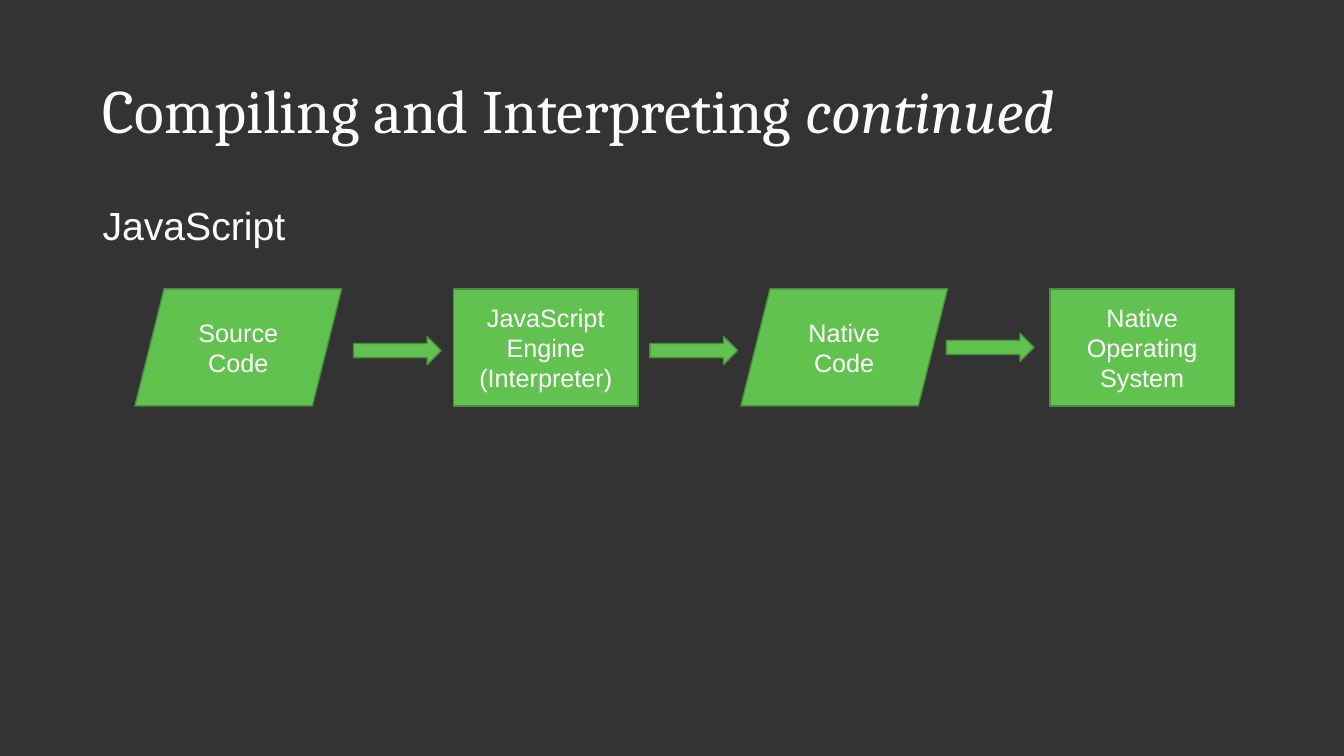
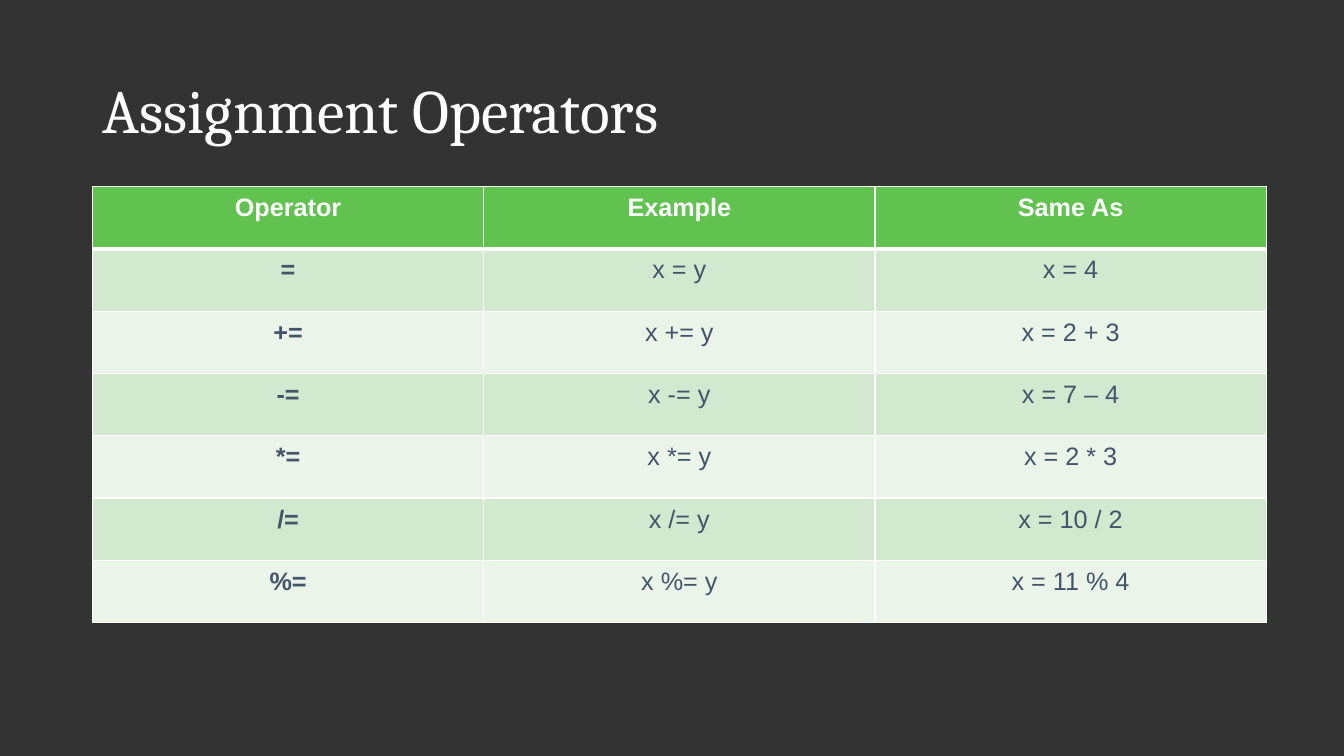
from lxml import etree
from pptx import Presentation
from pptx.dml.color import RGBColor
from pptx.enum.shapes import MSO_SHAPE
from pptx.enum.text import MSO_ANCHOR, PP_ALIGN
from pptx.oxml.ns import qn
from pptx.util import Cm, Pt

LEFT, CENTER = PP_ALIGN.LEFT, PP_ALIGN.CENTER
MIDDLE = MSO_ANCHOR.MIDDLE
DATA, PROCESS = MSO_SHAPE.PARALLELOGRAM, MSO_SHAPE.RECTANGLE
ARROW = MSO_SHAPE.RIGHT_ARROW

CHARCOAL = RGBColor(0x33, 0x33, 0x33)
WHITE = RGBColor(0xFF, 0xFF, 0xFF)
GREEN = RGBColor(0x61, 0xC2, 0x50)
DARK_GREEN = RGBColor(0x48, 0x90, 0x3B)
BAND_DARK = RGBColor(0xD2, 0xE9, 0xD0)
BAND_LIGHT = RGBColor(0xEA, 0xF4, 0xE9)
SLATE = RGBColor(0x44, 0x54, 0x6A)

TITLE_FONT, BODY_FONT = "Cambria", "Arial"
MARGIN, CONTENT_WIDTH = Cm(2.33), Cm(29.21)

deck = Presentation()
deck.slide_width, deck.slide_height = Cm(33.87), Cm(19.05)
backdrop = deck.slide_master.background.fill
backdrop.solid()
backdrop.fore_color.rgb = CHARCOAL


def style_paragraph(para, size, color=WHITE, name=BODY_FONT, align=CENTER, bold=False):
    """Set the font and alignment of one paragraph."""
    para.alignment = align
    para.font.name, para.font.size = name, Pt(size)
    para.font.color.rgb, para.font.bold = color, bold


def add_titled_page(layout_index, text):
    """Add a page with the shared title style and return it."""
    page = deck.slides.add_slide(deck.slide_layouts[layout_index])
    title = page.shapes.title
    title.left, title.top = MARGIN, Cm(1.01)
    title.width, title.height = CONTENT_WIDTH, Cm(3.68)
    title.text_frame.vertical_anchor = MIDDLE
    title.text_frame.text = text
    para = title.text_frame.paragraphs[0]
    style_paragraph(para, 44, name=TITLE_FONT, align=LEFT)
    para.line_spacing = 0.9
    return page


# Slide 1: flow from source code to operating system
page = add_titled_page(1, "Compiling and Interpreting ")
span = page.shapes.title.text_frame.paragraphs[0].add_run()
span.text = "continued"
span.font.italic = True

body = page.placeholders[1]
body.left, body.top = MARGIN, Cm(5.07)
body.width, body.height = CONTENT_WIDTH, Cm(12.09)
body.text_frame.text = "JavaScript"
para = body.text_frame.paragraphs[0]
style_paragraph(para, 28, align=LEFT)
para.line_spacing, para.space_before = 0.9, Pt(10)
properties = para._p.get_or_add_pPr()
properties.set("marL", "0")
properties.set("indent", "0")
etree.SubElement(properties, qn("a:buNone"))

# kind, left, top, width, height, text
STEP_TOP, STEP_HEIGHT = 7.28, 2.95
DATA_WIDTH, PROCESS_WIDTH = 5.21, 4.65
flow = [
    (DATA, 3.4, STEP_TOP, DATA_WIDTH, STEP_HEIGHT, "Source Code"),
    (PROCESS, 11.43, STEP_TOP, PROCESS_WIDTH, STEP_HEIGHT, "JavaScript Engine\n(Interpreter)"),
    (DATA, 18.67, STEP_TOP, DATA_WIDTH, STEP_HEIGHT, "Native Code"),
    (PROCESS, 26.46, STEP_TOP, PROCESS_WIDTH, STEP_HEIGHT, "Native\nOperating System"),
]
for index, arrow_top in enumerate([8.48, 8.48, 8.4]):
    flow.append((ARROW, 8.91 + 7.47 * index, arrow_top, 2.21, 0.71, ""))

for kind, left, top, width, height, text in flow:
    box = page.shapes.add_shape(kind, Cm(left), Cm(top), Cm(width), Cm(height))
    box.shadow.inherit = False
    box.fill.solid()
    box.fill.fore_color.rgb = GREEN
    box.line.color.rgb, box.line.width = DARK_GREEN, Pt(1)
    if text:
        box.text_frame.text = text
        box.text_frame.vertical_anchor = MIDDLE
        for para in box.text_frame.paragraphs:
            style_paragraph(para, 18)

# Slide 2: table of operators
page = add_titled_page(5, "Assignment Operators")
operators = [
    ("Operator", "Example", "Same As"),
    ("=", "x = y", "x = 4"),
    ("+=", "x += y", "x = 2 + 3"),
    ("-=", "x -= y", "x = 7 – 4"),
    ("*=", "x *= y", "x = 2 * 3"),
    ("/=", "x /= y", "x = 10 / 2"),
    ("%=", "x %= y", "x = 11 % 4"),
]
ROW_HEIGHT, COLUMN_WIDTH, INSET = Cm(1.57), Cm(9.86), Cm(0.18)
row_count, column_count = len(operators), len(operators[0])
table = page.shapes.add_table(row_count, column_count, MARGIN, Cm(4.7),
                              COLUMN_WIDTH * column_count, ROW_HEIGHT * row_count).table
for column in table.columns:
    column.width = COLUMN_WIDTH
for row in table.rows:
    row.height = ROW_HEIGHT

for row_index, texts in enumerate(operators):
    is_header = row_index == 0
    fill_color = GREEN if is_header else (BAND_LIGHT, BAND_DARK)[row_index % 2]
    # The line under the header is heavier than the others.
    borders = {"lnL": 1, "lnR": 1,
               "lnT": 3 if row_index == 1 else 1,
               "lnB": 3 if is_header else 1}
    for column_index, text in enumerate(texts):
        cell = table.cell(row_index, column_index)
        cell.margin_left = cell.margin_right = INSET
        cell.margin_top = cell.margin_bottom = INSET
        cell.text = text
        style_paragraph(cell.text_frame.paragraphs[0], 18, WHITE if is_header else SLATE,
                        bold=is_header or column_index == 0)
        cell_properties = cell._tc.get_or_add_tcPr()
        for edge, points in borders.items():
            line = etree.SubElement(cell_properties, qn("a:" + edge), w=str(Pt(points)))
            paint = etree.SubElement(line, qn("a:solidFill"))
            etree.SubElement(paint, qn("a:srgbClr"), val=str(WHITE))
        cell.fill.solid()
        cell.fill.fore_color.rgb = fill_color

deck.save("out.pptx")
